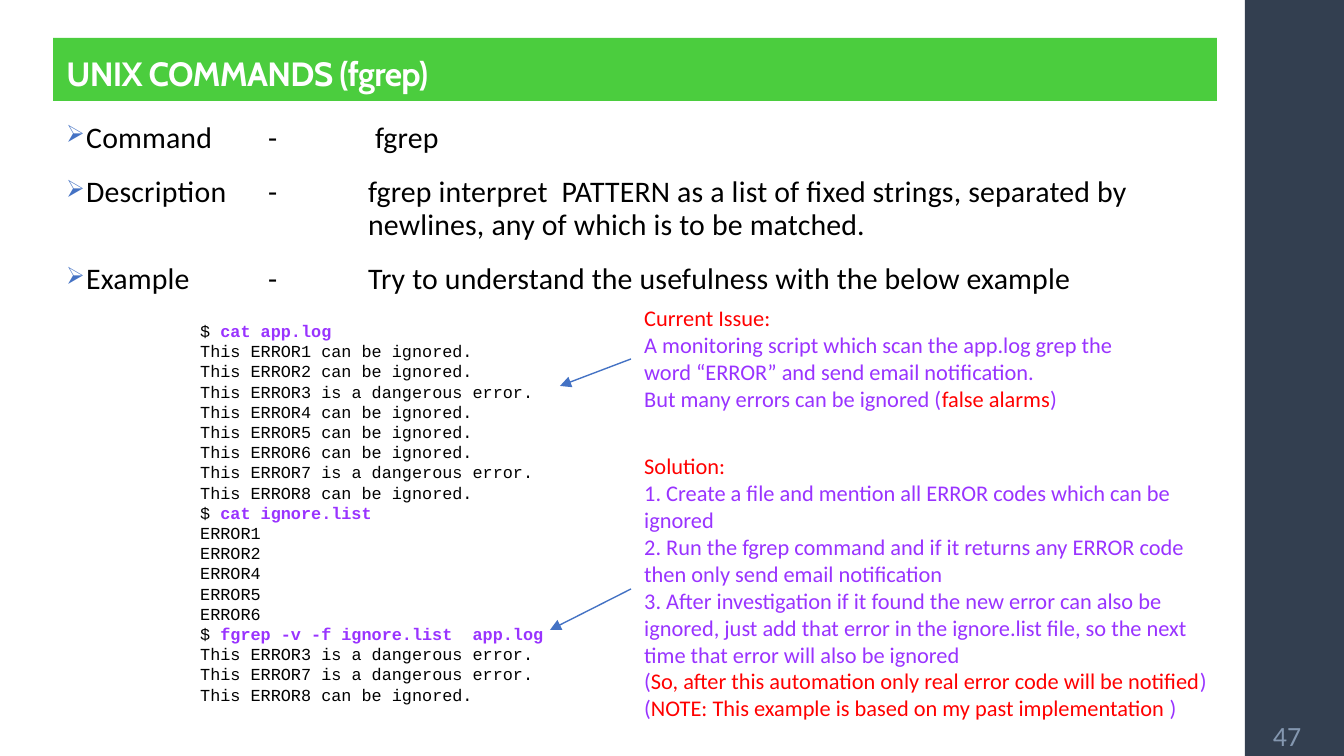
from pptx import Presentation
from pptx.dml.color import RGBColor
from pptx.enum.shapes import MSO_CONNECTOR, MSO_SHAPE
from pptx.enum.text import MSO_ANCHOR, MSO_AUTO_SIZE, PP_ALIGN
from pptx.oxml.ns import qn
from pptx.util import Emu, Pt
from lxml import etree

STRAIGHT = MSO_CONNECTOR.STRAIGHT
RECTANGLE = MSO_SHAPE.RECTANGLE
TOP, MIDDLE, BOTTOM = MSO_ANCHOR.TOP, MSO_ANCHOR.MIDDLE, MSO_ANCHOR.BOTTOM
LEFT, CENTER = PP_ALIGN.LEFT, PP_ALIGN.CENTER
NO_FIT = MSO_AUTO_SIZE.NONE

PX = 914400 / 134.4
COLORS = {
    "sidebar": "333F50", "banner": "4BCD3E", "white": "FFFFFF",
    "black": "000000", "blue": "4472C4", "number": "8497B0",
    "purple": "9933FF", "red": "FF0000",
}
TITLE_ONLY = 5


def px(value):
    return Emu(round(value * PX))


def color(name):
    return RGBColor.from_string(COLORS[name])


class SlideWriter:
    """Holds the style and the current slide."""

    body_font = "Calibri"
    code_font = "Courier New"
    title_font = "Cabin"

    def __init__(self, deck):
        self.page = deck.slides.add_slide(deck.slide_layouts[TITLE_ONLY])

    def style(self, span, font, size, tone, bold=False, spacing=0):
        span.font.name = font
        span.font.size = Pt(size)
        span.font.bold = bold
        span.font.color.rgb = color(tone)
        if spacing:
            span.font._element.set("spc", str(spacing))

    def panel(self, left, top, width, height, tone):
        shape = self.page.shapes.add_shape(
            RECTANGLE, px(left), px(top), px(width), px(height))
        shape.shadow.inherit = False
        shape.fill.solid()
        shape.fill.fore_color.rgb = color(tone)
        shape.line.fill.background()

    def title(self, text, left, top, width, height):
        box = self.page.shapes.title
        box.left, box.top = px(left), px(top)
        box.width, box.height = px(width), px(height)
        box.fill.solid()
        box.fill.fore_color.rgb = color("banner")
        frame = box.text_frame
        frame.text = text
        frame.auto_size = NO_FIT
        frame.vertical_anchor = BOTTOM
        para = frame.paragraphs[0]
        para.alignment = LEFT
        para.line_spacing = 0.9
        self.style(para.runs[0], self.title_font, 18, "white", True, -40)

    def frame(self, left, top, width, height, anchor=TOP):
        box = self.page.shapes.add_textbox(
            px(left), px(top), px(width), px(height))
        box.text_frame.word_wrap = True
        box.text_frame.vertical_anchor = anchor
        return box.text_frame

    def paragraphs(self, frame, items):
        """Pair each item with a paragraph of the frame."""
        for index, item in enumerate(items):
            para = frame.add_paragraph() if index else frame.paragraphs[0]
            yield index, para, item

    def rich_text(self, lines, font, size, *bounds):
        """Each line is a list of (text, colour, bold) spans."""
        frame = self.frame(*bounds)
        for _, para, spans in self.paragraphs(frame, lines):
            for text, tone, bold in spans:
                span = para.add_run()
                span.text = text
                self.style(span, font, size, tone, bold)

    def bullets(self, items, tab_stops, *bounds):
        frame = self.frame(*bounds)
        for index, para, text in self.paragraphs(frame, items):
            para.text = text
            para.line_spacing = 0.9
            para.space_before = Pt(10.5 if index else 0)
            para.space_after = Pt(1.5)
            self.bullet(para, tab_stops)
            for span in para.runs:
                self.style(span, self.body_font, 16, "black", spacing=10)

    def bullet(self, para, tab_stops):
        props = para._p.get_or_add_pPr()
        props.set("marL", str(px(20)))
        props.set("indent", str(-px(20)))
        tone = etree.SubElement(props, qn("a:buClr"))
        etree.SubElement(tone, qn("a:srgbClr"), val=COLORS["blue"])
        etree.SubElement(props, qn("a:buSzPct"), val="80000")
        etree.SubElement(props, qn("a:buChar"), char="➢")
        tabs = etree.SubElement(props, qn("a:tabLst"))
        for stop in tab_stops:
            etree.SubElement(tabs, qn("a:tab"), pos=str(px(stop)), algn="l")

    def page_number(self, text, *bounds):
        frame = self.frame(*bounds, anchor=MIDDLE)
        frame.margin_left = frame.margin_right = px(7)
        frame.margin_top = frame.margin_bottom = px(7)
        frame.text = text
        para = frame.paragraphs[0]
        para.alignment = CENTER
        self.style(para.runs[0], self.body_font, 14.9, "number")

    def arrow(self, x1, y1, x2, y2):
        line = self.page.shapes.add_connector(
            STRAIGHT, px(x1), px(y1), px(x2), px(y2))
        line.line.color.rgb = color("blue")
        line.line.width = Pt(0.75)
        etree.SubElement(line.line._get_or_add_ln(), qn("a:tailEnd"),
                         type="triangle")
        etree.SubElement(line._element.spPr, qn("a:effectLst"))


def command(text):
    return [("$ ", "black", False), (text, "purple", True)]


def output(*lines):
    return [[(line, "black", False)] for line in lines]


def note(*spans):
    """Spans alternate between purple and red, starting with purple."""
    return [(text, ("purple", "red")[index % 2], False)
            for index, text in enumerate(spans) if text]


def log_line(number):
    state = "is a dangerous error" if number in (3, 7) else "can be ignored"
    return f"This ERROR{number} {state}."


def main():
    deck = Presentation()
    deck.slide_width, deck.slide_height = px(1344), px(756)
    slide = SlideWriter(deck)

    # Sidebar, title and page number
    slide.panel(1245, 0, 99, 756, "sidebar")
    slide.title("UNIX COMMANDS (fgrep)", 53, 38, 1164, 63)
    slide.page_number("47", 1253, 714, 68, 42)

    # Command summary
    slide.bullets([
        "Command\t-\t fgrep",
        "Description\t-\tfgrep interpret  PATTERN as a list of fixed strings, "
        "separated by\v\t\tnewlines, any of which is to be matched.",
        "Example\t-\tTry to understand the usefulness with the below example",
    ], (202, 302), 53, 116, 1164, 626)

    # Terminal session
    session = [
        command("cat app.log"),
        *output(*map(log_line, range(1, 9))),
        command("cat ignore.list"),
        *output(*(f"ERROR{number}" for number in (1, 2, 4, 5, 6))),
        command("fgrep -v -f ignore.list  app.log"),
        *output(*map(log_line, (3, 7, 8))),
    ]
    slide.rich_text(session, slide.code_font, 9, 187, 314, 942, 400)

    # Issue and solution notes
    issue = [
        note("", "Current Issue:"),
        note("A monitoring script which scan the app.log grep the word "
             "“ERROR” and send email notification."),
        note("But many errors can be ignored (", "false alarms", ")"),
    ]
    solution = [
        note("", "Solution:"),
        note("1. Create a file and mention all ERROR codes which can be "
             "ignored"),
        note("2. Run the fgrep command and if it returns any ERROR code then "
             "only send email notification"),
        note("3. After investigation if it found the new error can also be "
             "ignored, just add that error in the ignore.list file, so the "
             "next time that error will also be ignored"),
        note("(", "So, after this automation only real error code will be "
             "notified", ")"),
        note("(", "NOTE: This example is based on my past implementation",
             " )"),
    ]
    slide.rich_text(issue, slide.body_font, 12, 631, 298, 508, 122)
    slide.rich_text(solution, slide.body_font, 12, 631, 446, 598, 285)

    # Arrows from the notes to the session
    slide.arrow(631, 359, 560, 386)
    slide.arrow(631, 589, 550, 630)

    deck.save("out.pptx")


if __name__ == "__main__":
    main()
